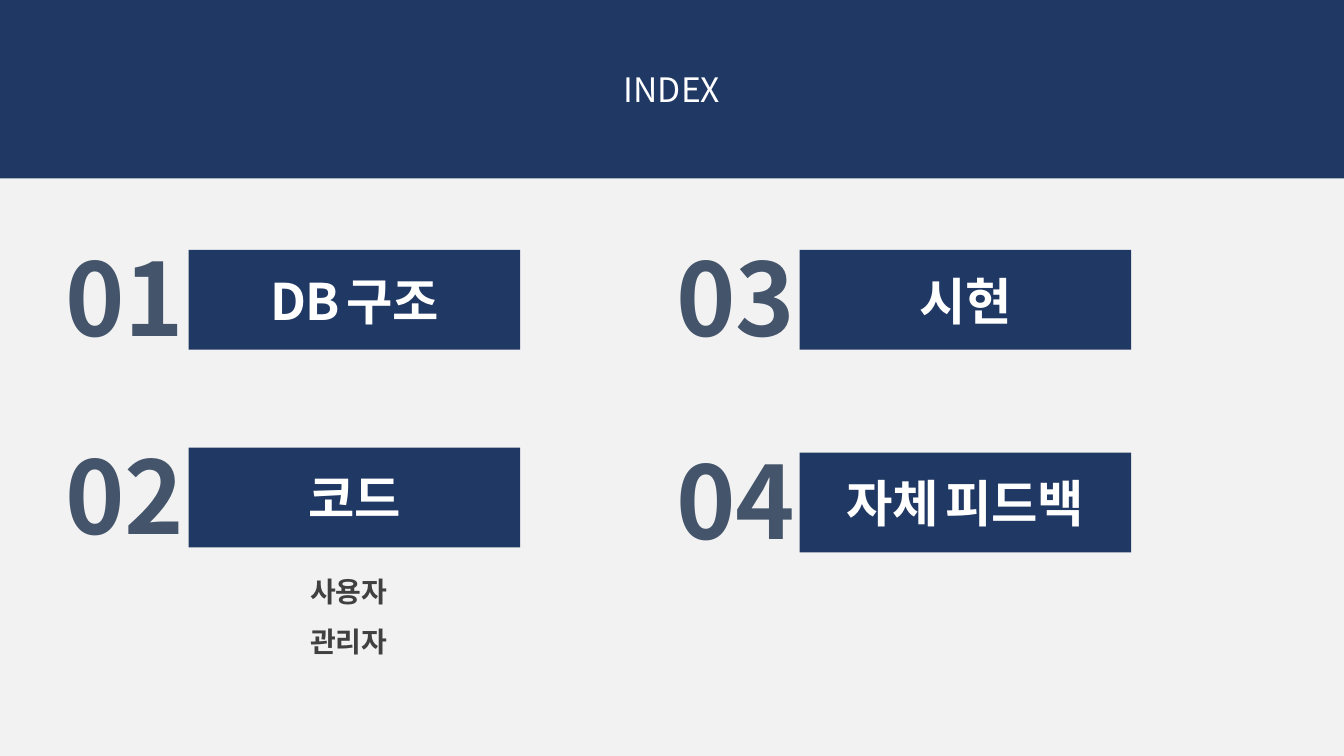
from dataclasses import dataclass

from lxml.etree import SubElement
from pptx import Presentation
from pptx.dml.color import RGBColor as Color
from pptx.enum.shapes import MSO_SHAPE as Shape
from pptx.enum.text import MSO_ANCHOR as Anchor, PP_ALIGN as Align
from pptx.oxml.ns import qn
from pptx.util import Inches, Pt


@dataclass(frozen=True)
class Theme:
    """Colours, font and type sizes of the deck."""
    navy: str = "203864"
    slate: str = "44546A"
    grey: str = "404040"
    pale: str = "F2F2F2"
    white: str = "FFFFFF"
    font: str = "Noto Sans CJK KR"
    title: int = 24
    number: int = 72
    label: int = 36
    gap: int = 18
    note: int = 20


THEME = Theme()
WIDTH, HEIGHT = 13.33, 7.5
COLS = (0.55, 6.61)
ITEMS = (
    (0, 2.29, "01", "DB 구조", ()),
    (0, 4.25, "02", "코드", ("사용자", "관리자")),
    (1, 2.29, "03", "시현", ()),
    (1, 4.3, "04", "자체 피드백", ()),
)


def write(frame, text, size, color, bold=True, align=Align.CENTER):
    """Fill a frame with one line whose word gaps use the small size."""
    frame.word_wrap = True
    line = frame.paragraphs[0]
    line.alignment = align
    font = line.font
    font.name, font.size, font.bold = THEME.font, Pt(size), bold
    font.color.rgb = Color.from_string(color)
    props = line._p.pPr.find(qn("a:defRPr"))
    SubElement(props, qn("a:ea"), typeface=THEME.font)
    for spot, word in enumerate(text.split()):
        if spot:
            space = line.add_run()
            space.text = " "
            space.font.size = Pt(THEME.gap)
        line.add_run().text = word


def add_text(slide, box, *args, **style):
    """Place a text box and write its line."""
    area = slide.shapes.add_textbox(*map(Inches, box))
    write(area.text_frame, *args, **style)


def add_block(slide, box):
    """Place a flat navy rectangle."""
    block = slide.shapes.add_shape(Shape.RECTANGLE, *map(Inches, box))
    block.shadow.inherit = False
    block.fill.solid()
    block.fill.fore_color.rgb = Color.from_string(THEME.navy)
    block.line.fill.background()
    return block


def add_header(slide, box):
    """Draw the top band with its centred title."""
    left, top, width, height = box
    add_block(slide, box)
    wide = 2.83
    area = (left + (width - wide) / 2, top + 0.63, wide, 0.5)
    add_text(slide, area, "INDEX", THEME.title, THEME.white, bold=False)


def add_item(slide, left, top, number, label, notes):
    """Draw a numbered label and the notes under it."""
    block = add_block(slide, (left + 1.32, top + 0.19, 3.29, 0.99))
    block.text_frame.vertical_anchor = Anchor.MIDDLE
    write(block.text_frame, label, THEME.label, THEME.white)
    add_text(slide, (left, top, 1.78, 1.31), number, THEME.number,
             THEME.slate, align=Align.LEFT)
    for row, note in enumerate(notes):
        area = (left + 1.4, top + 1.4 + row * 0.5, 3.02, 0.44)
        add_text(slide, area, note, THEME.note, THEME.grey)


def main():
    """Build and save the index slide."""
    deck = Presentation()
    deck.slide_width, deck.slide_height = Inches(WIDTH), Inches(HEIGHT)
    slide = deck.slides.add_slide(deck.slide_layouts[6])
    fill = slide.background.fill
    fill.solid()
    fill.fore_color.rgb = Color.from_string(THEME.pale)
    add_header(slide, (0, 0, WIDTH, 1.77))
    for col, top, *parts in ITEMS:
        add_item(slide, COLS[col], top, *parts)
    deck.save("out.pptx")


if __name__ == "__main__":
    main()
